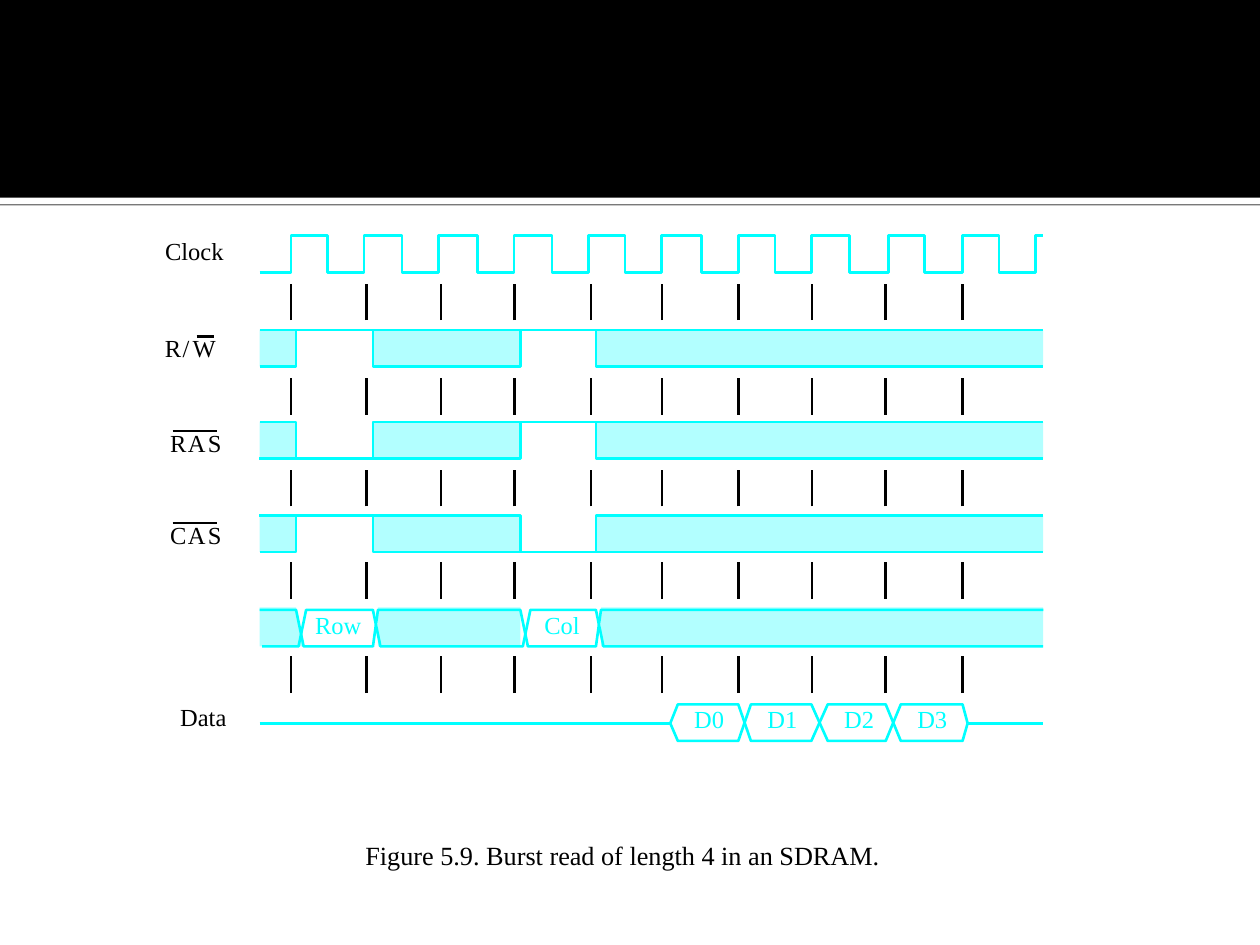
from typing import NamedTuple

from lxml.etree import SubElement
from pptx import Presentation
from pptx.dml.color import RGBColor
from pptx.enum.shapes import MSO_CONNECTOR, MSO_SHAPE
from pptx.enum.text import MSO_AUTO_SIZE
from pptx.oxml.ns import qn
from pptx.util import Emu, Inches, Pt

COLUMNS, ROWS = 1000, 750
WIDTH, HEIGHT = Inches(10), Inches(7.5)
CELL = WIDTH // COLUMNS
FONT = "Times New Roman"
BLACK, WHITE, CYAN, PALE = "000000", "FFFFFF", "00FFFF", "B2FFFF"
STROKE = Pt(1.5)

START, END = 206, 828
SWING = 29
ROW_OPEN, ROW_CLOSE, COL_OPEN, COL_CLOSE = 235, 296, 413, 473
READ_TOP, RAS_TOP, CAS_TOP, ADDRESS_TOP, DATA_TOP = 262, 335, 409, 484, 559
DATA_MIDDLE = 574
CLOCK_HIGH = 187
CLOCK_PULSES = [(231, 260), (289, 319), (348, 379), (408, 438), (467, 496),
                (525, 557), (586, 615), (644, 674), (705, 734), (764, 793)]
LAST_RISE = 822
TICK_COLUMNS = [231, 291, 350, 408.5, 469, 525.5, 586, 644.5, 703, 764]
TICK_ROWS = [225, 300, 373, 446, 521]

Points = list[tuple[int, int]]


class Block(NamedTuple):
    column: int
    row: int
    columns: int
    rows: int


class Label(NamedTuple):
    text: str
    column: int
    row: int
    columns: int
    color: str = BLACK
    size: int = 14


class Overline(NamedTuple):
    start: int
    end: int
    row: int


LABELS = [
    Label("Clock", 131, 187, 48),
    Label("R", 131, 264, 14),
    Label("/", 145, 264, 7),
    Label("W", 153, 264, 20),
    *(Label(letter, column, row, columns)
      for word, row in (("RAS", 340), ("CAS", 413))
      for letter, column, columns in zip(word, (135, 149, 165), (14, 15, 12))),
    Label("Data", 143, 557, 38),
    Label("Row", 250, 484, 38, CYAN),
    Label("Col", 432, 484, 30, CYAN),
    *(Label(f"D{index}", column, 559, 25, CYAN)
      for index, column in enumerate((551, 609, 670, 728))),
    Label("Figure 5.9. Burst read of length 4 in an SDRAM.", 290, 666, 410, size=15),
]
OVERLINES = [Overline(156, 170, 267), Overline(137, 172, 342), Overline(137, 172, 415)]

presentation = Presentation()
presentation.slide_width, presentation.slide_height = WIDTH, HEIGHT
slide = presentation.slides.add_slide(presentation.slide_layouts[6])


def rgb(color: str) -> RGBColor:
    return RGBColor.from_string(color)


def cells(count: float) -> Emu:
    return Emu(round(count * CELL))


def add_block(block: Block, color: str):
    rectangle = slide.shapes.add_shape(MSO_SHAPE.RECTANGLE, *map(cells, block))
    rectangle.shadow.inherit = False
    rectangle.fill.solid()
    rectangle.fill.fore_color.rgb = rgb(color)
    rectangle.line.fill.background()
    return rectangle


def add_outline(points: Points, closed: bool = False):
    builder = slide.shapes.build_freeform(*points[0], scale=CELL)
    builder.add_line_segments(points[1:], close=closed)
    outline = builder.convert_to_shape()
    outline.shadow.inherit = False
    return outline


def add_wave(points: Points) -> None:
    wave = add_outline(points)
    wave.fill.background()
    wave.line.color.rgb = rgb(CYAN)
    wave.line.width = STROKE


def add_line(start: tuple[float, float], end: tuple[float, float], color: str) -> None:
    line = slide.shapes.add_connector(MSO_CONNECTOR.STRAIGHT, *map(cells, (*start, *end)))
    line.line.color.rgb = rgb(color)
    line.line.width = STROKE
    SubElement(line._element.spPr, qn("a:effectLst"))


def add_label(label: Label) -> None:
    box = slide.shapes.add_textbox(cells(label.column), cells(label.row),
                                   cells(label.columns), Pt(label.size * 1.2))
    frame = box.text_frame
    frame.margin_left = frame.margin_top = frame.margin_right = frame.margin_bottom = 0
    frame.word_wrap = False
    frame.auto_size = MSO_AUTO_SIZE.SHAPE_TO_FIT_TEXT
    run = frame.paragraphs[0].add_run()
    run.text = label.text
    run.font.name = FONT
    run.font.size = Pt(label.size)
    run.font.color.rgb = rgb(label.color)


def add_header() -> None:
    rule = add_block(Block(0, 157, COLUMNS, 5), WHITE)
    effects = rule._element.spPr.find(qn("a:effectLst"))
    shadow = SubElement(effects, qn("a:outerShdw"), blurRad="0", dist="10160",
                        dir="5400000", rotWithShape="0")
    shade = SubElement(shadow, qn("a:srgbClr"), val=BLACK)
    SubElement(shade, qn("a:alpha"), val="60000")
    add_block(Block(0, 0, COLUMNS, 157), BLACK)


def add_idle_bands() -> None:
    for top in (READ_TOP, RAS_TOP, CAS_TOP):
        for left, right in ((START, ROW_OPEN), (ROW_CLOSE, COL_OPEN), (COL_CLOSE, END)):
            add_block(Block(left, top, right - left, SWING), PALE)
    top, bottom = ADDRESS_TOP - 2, ADDRESS_TOP + SWING
    for left, right in ((300, COL_OPEN), (477, END)):
        add_block(Block(left, top, right - left, bottom - top), PALE)
    lead = add_outline([(START, bottom), (241, bottom), (ROW_OPEN, top), (START, top)], True)
    lead.fill.solid()
    lead.fill.fore_color.rgb = rgb(PALE)
    lead.line.fill.background()


def add_clock() -> None:
    low = CLOCK_HIGH + SWING
    points = [(START, low)]
    for rise, fall in CLOCK_PULSES:
        points += [(rise, low), (rise, CLOCK_HIGH), (fall, CLOCK_HIGH), (fall, low)]
    add_wave([*points, (LAST_RISE, low), (LAST_RISE, CLOCK_HIGH), (END, CLOCK_HIGH)])


def add_read_signal() -> None:
    top, low = READ_TOP, READ_TOP + SWING
    add_wave([(START, low), (ROW_OPEN, low), (ROW_OPEN, top), (ROW_CLOSE, top),
              (ROW_CLOSE, low), (COL_OPEN, low), (COL_OPEN, top), (COL_CLOSE, top),
              (COL_CLOSE, low), (END, low)])
    add_line((START, top), (END, top), CYAN)


def add_strobe(rest: int, pulse: int) -> None:
    add_wave([(START, rest), (ROW_OPEN, rest), (ROW_OPEN, pulse), (ROW_CLOSE, pulse),
              (ROW_CLOSE, rest), (END, rest)])
    add_wave([(START, pulse), (COL_OPEN, pulse), (COL_OPEN, rest)])
    add_wave([(COL_CLOSE, rest), (COL_CLOSE, pulse), (END, pulse)])


def add_crossing(lead: Points, crossings: list[tuple[int, int]], tail: Points,
                 near: int, far: int) -> None:
    points = [*lead]
    for before, after in crossings:
        points += [(before, near), (after, far)]
        near, far = far, near
    add_wave(points + tail)


def add_address() -> None:
    top, low = ADDRESS_TOP, ADDRESS_TOP + SWING
    add_crossing([(START, top)], [(235, 241), (296, 300), (413, 419), (473, 477)],
                 [(END, top)], top, low)
    add_crossing([(208, low)], [(237, 243), (296, 302), (415, 421), (473, 479)],
                 [(END, low)], low, top)


def add_data() -> None:
    top, low = DATA_TOP, DATA_TOP + SWING
    first, last = (532, DATA_MIDDLE), (768, DATA_MIDDLE)
    for near, far in ((top, low), (low, top)):
        add_crossing([first, (538, near)], [(586, 596), (644, 657), (703, 715)],
                     [(764, far), last], near, far)
    add_line((START, DATA_MIDDLE), first, CYAN)
    add_line(last, (END, DATA_MIDDLE), CYAN)


def main() -> None:
    add_header()
    add_idle_bands()
    add_clock()
    add_read_signal()
    add_strobe(RAS_TOP, RAS_TOP + SWING)
    add_strobe(CAS_TOP + SWING, CAS_TOP)
    add_address()
    add_data()
    for row in TICK_ROWS:
        for column in TICK_COLUMNS:
            add_line((column, row + SWING), (column, row), BLACK)
    for label in LABELS:
        add_label(label)
    for overline in OVERLINES:
        add_line((overline.start, overline.row), (overline.end, overline.row), BLACK)
    presentation.save("out.pptx")


if __name__ == "__main__":
    main()
